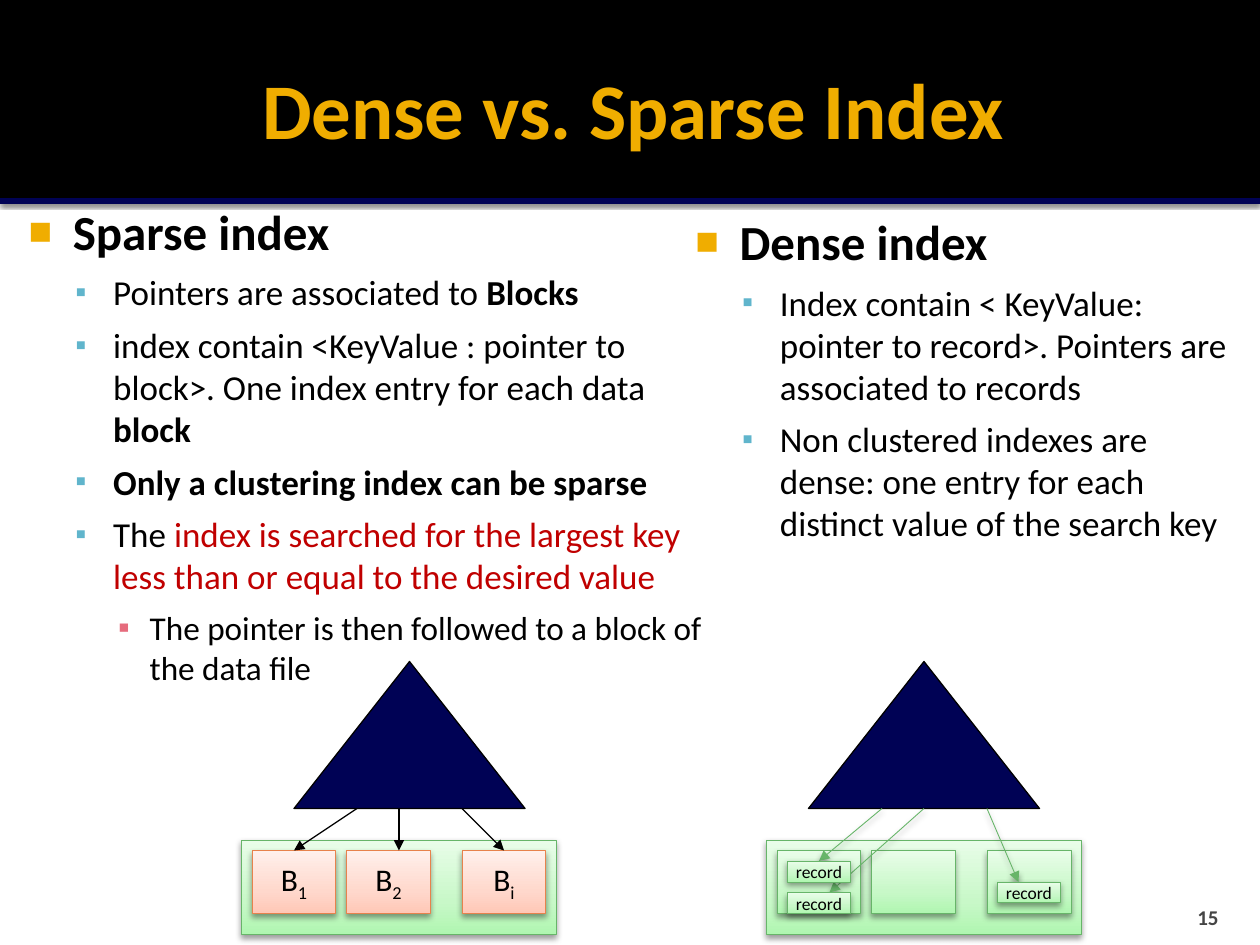
from lxml import etree
from pptx import Presentation
from pptx import util as u
from pptx.dml.color import RGBColor
from pptx.enum import shapes, text
from pptx.oxml.ns import qn

BLACK = RGBColor(0, 0, 0)
WHITE = RGBColor(255, 255, 255)
GOLD = RGBColor(0xF0, 0xAD, 0x00)
SKY = RGBColor(0x60, 0xB5, 0xCC)
PINK = RGBColor(0xE6, 0x6C, 0x7D)
RED = RGBColor(0xC0, 0, 0)
GREY = RGBColor(0x45, 0x45, 0x45)
GREEN = RGBColor(0x67, 0xB5, 0x69)
RUST = RGBColor(0xE7, 0x82, 0x4C)
MINT = ("B0F6B1", "C8F8C8", "E9FDE9")
PEACH = ("FFC8B7", "FFD8CC", "FFF0EC")
FONT = "Calibri"
NS = "http://schemas.openxmlformats.org/drawingml/2006/main"
SHADE = ('<a:effectLst><a:outerShdw blurRad="{}" dist="{}" dir="5400000" rotWithShape="0">'
         '<a:srgbClr val="000000"><a:alpha val="{}"/></a:srgbClr></a:outerShdw></a:effectLst>')
SOFT = SHADE.format(44450, 25400, 38000)
HARD = SHADE.format(31750, 10160, 60000)

deck = Presentation()
deck.slide_width, deck.slide_height = u.Inches(10), u.Inches(7.5)
slide = deck.slides.add_slide(deck.slide_layouts[5])
tree = slide.shapes
UNIT = deck.slide_width // 120  # the grid has 120 columns and 90 rows


def node(markup):
    return etree.fromstring(markup.replace(">", f' xmlns:a="{NS}">', 1)
                            if "/>" not in markup.split(">")[0] + ">"
                            else markup.replace("/>", f' xmlns:a="{NS}"/>', 1))


def box(col, row, wide, high, fill, line=None, shade=None, kind="RECTANGLE", runs=(), size=18):
    form = tree.add_shape(getattr(shapes.MSO_SHAPE, kind),
                          *[round(n * UNIT) for n in (col, row, wide, high)])
    form.shadow.inherit = False
    if isinstance(fill, tuple):
        form.fill.gradient()
        grad = form.element.spPr.find(qn("a:gradFill"))
        stops = "".join(f'<a:gs pos="{p}"><a:srgbClr val="{c}"/></a:gs>'
                        for p, c in zip((0, 35000, 100000), fill))
        grad.replace(grad.find(qn("a:gsLst")), node(f"<a:gsLst>{stops}</a:gsLst>"))
        grad.find(qn("a:lin")).set("ang", "16200000")
    else:
        form.fill.solid()
        form.fill.fore_color.rgb = fill
    if line is None:
        form.line.fill.background()
    else:
        form.line.color.rgb = line
        form.line.width = u.Pt(0.75 if line == BLACK else 0.5)
    if shade:
        props = form.element.spPr
        props.replace(props.find(qn("a:effectLst")), node(shade))
    frame = form.text_frame
    frame.word_wrap = False
    frame.vertical_anchor = text.MSO_ANCHOR.MIDDLE
    para = frame.paragraphs[0]
    para.alignment = text.PP_ALIGN.CENTER
    for i, word in enumerate(runs):
        run = para.add_run()
        run.text = word
        run.font.name, run.font.size = FONT, u.Pt(size)
        run.font.color.rgb = BLACK
        if i:
            run.font._element.set("baseline", "-25000")


# Header bands
box(0, 18.84, 120, 0.6, WHITE, shade=HARD)
box(0, 0, 120, 18.84, BLACK)

# Title and page number
title = tree.title
tree._spTree.append(title.element)
page = tree.add_textbox(0, 0, 0, 0)
heads = (
    (title, (0.5, 0.17, 9, 1.37), "Dense vs. Sparse Index", 45, GOLD, "CENTER", "MIDDLE", 0.05),
    (page, (8.97, 7.08, 0.8, 0.3), "15", 12, GREY, "RIGHT", "BOTTOM", 0.1),
)
for form, at, words, size, color, align, anchor, right in heads:
    form.left, form.top, form.width, form.height = [u.Inches(n) for n in at]
    frame = form.text_frame
    frame.word_wrap = True
    frame.auto_size = text.MSO_AUTO_SIZE.NONE
    frame.vertical_anchor = getattr(text.MSO_ANCHOR, anchor)
    frame.margin_right = u.Inches(right)
    frame.margin_bottom = u.Inches(0 if form is page else 0.05)
    para = frame.paragraphs[0]
    para.alignment = getattr(text.PP_ALIGN, align)
    run = para.add_run()
    run.text = words
    run.font.name, run.font.size, run.font.bold = FONT, u.Pt(size), True
    run.font.color.rgb = color

# Bullet levels: indent, hang, size, sign, colour, share, space after
LEVELS = (
    (0.48, 0.35, 28, "\u25a0", GOLD, 80, 0),
    (0.8, 0.3, 20, "\u25aa", SKY, 90, 0),
    (1.09, 0.25, 19, "\u25aa", PINK, 100, 6),
)
# Each run holds its words, weight and colour
SPARSE = (
    (0, [("Sparse index", True, BLACK)]),
    (1, [("Pointers are associated to ", False, BLACK), ("Blocks", True, BLACK)]),
    (1, [("index contain <KeyValue : pointer to block>. One index entry for each data ",
          False, BLACK), ("block", True, BLACK)]),
    (1, [("Only a clustering index can be sparse", True, BLACK)]),
    (1, [("The ", False, BLACK),
         ("index is searched for the largest key less than or equal to the desired value",
          False, RED)]),
    (2, [("The pointer is then followed to a block of the data file", False, BLACK)]),
)
DENSE = (
    (0, [("Dense index", True, BLACK)]),
    (1, [("Index contain < KeyValue: pointer to record>. Pointers are associated to records",
          False, BLACK)]),
    (1, [("Non clustered indexes are dense: one entry for each distinct value of the search key",
          False, BLACK)]),
)
for at, inset, paras in (((0, 1.5, 5.67, 5.5), 0.1, SPARSE),
                         ((5.33, 1.58, 4.58, 5.41), 0.06, DENSE)):
    frame = tree.add_textbox(*[u.Inches(n) for n in at]).text_frame
    frame.word_wrap = True
    frame.margin_left, frame.margin_top = u.Inches(inset), u.Inches(0.1)
    for i, (level, runs) in enumerate(paras):
        para = frame.add_paragraph() if i else frame.paragraphs[0]
        indent, hang, size, sign, color, share, after = LEVELS[level]
        para.level = level
        para.space_before, para.space_after = u.Pt(6), u.Pt(after)
        props = para._p.get_or_add_pPr()
        props.set("marL", str(u.Inches(indent)))
        props.set("indent", str(-u.Inches(hang)))
        for markup in (f'<a:buClr><a:srgbClr val="{color}"/></a:buClr>',
                       f'<a:buSzPct val="{share * 1000}"/>',
                       '<a:buFont typeface="Arial"/>',
                       f'<a:buChar char="{sign}"/>'):
            props.append(node(markup))
        for words, bold, ink in runs:
            run = para.add_run()
            run.text = words
            run.font.name, run.font.size, run.font.bold = FONT, u.Pt(size), bold
            run.font.color.rgb = ink

# Index trees, data files and their blocks
for col in (23, 73):
    box(col, 80, 30, 9, MINT, GREEN, SOFT)
for col in (28, 77):
    box(col, 63, 22, 14, WHITE, BLACK, kind="ISOSCELES_TRIANGLE")
for col, sub in ((24, "1"), (33, "2"), (44, "i")):
    box(col, 81, 8, 6, PEACH, RUST, SOFT, runs=("B", sub))
for col in (74, 83, 94):
    box(col, 81, 8, 6, MINT, GREEN, SOFT)

# Pointers from the trees: start column, end column, end row
SPOTS = ((34, 28, 81, BLACK), (38, 38, 81, BLACK), (44, 48, 81, BLACK),
         (84, 78, 82, GREEN), (88, 79, 85, GREEN), (94, 97, 84, GREEN))
for start, end, row, color in SPOTS:
    arrow = tree.add_connector(shapes.MSO_CONNECTOR.STRAIGHT,
                               start * UNIT, 77 * UNIT, end * UNIT, row * UNIT)
    arrow.line.color.rgb = color
    arrow.line.width = u.Pt(0.75 if color == BLACK else 0.5)
    props = arrow.element.spPr
    props.find(qn("a:ln")).append(node('<a:tailEnd type="triangle"/>'))
    props.append(node(SOFT if color == GREEN else "<a:effectLst/>"))

# Records
for col, row in ((75, 82), (75, 85), (95, 84)):
    box(col, row, 6, 2, MINT, GREEN, SOFT, runs=("record",), size=10)

deck.save("out.pptx")
